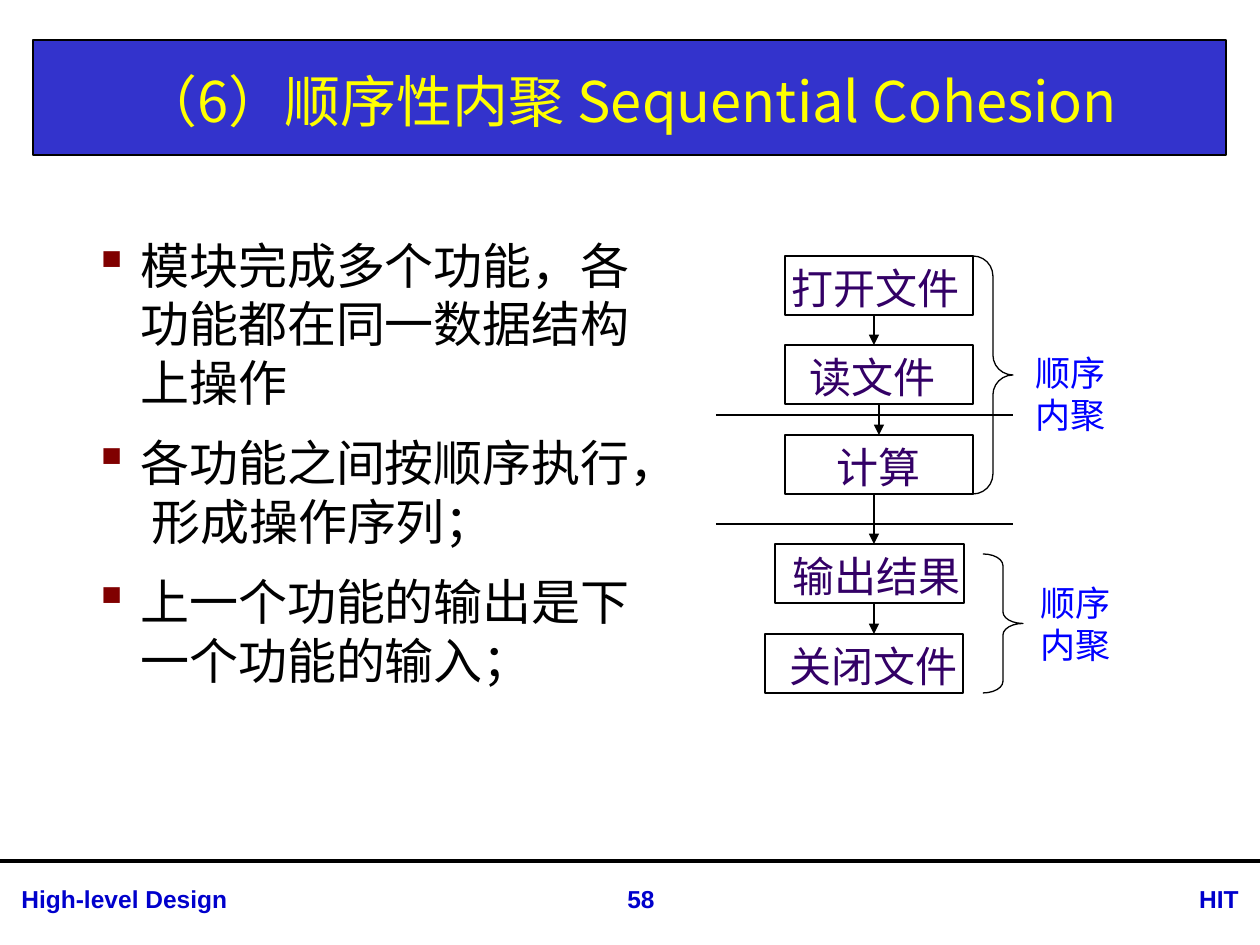
import dataclasses

import lxml.etree
import pptx
import pptx.dml.color
import pptx.enum.shapes
import pptx.enum.text
import pptx.oxml.ns
import pptx.util

SHAPE = pptx.enum.shapes.MSO_SHAPE
ALIGN = pptx.enum.text.PP_ALIGN
ANCHOR = pptx.enum.text.MSO_ANCHOR


@dataclasses.dataclass(frozen=True)
class Theme:
    """Colours, fonts and type sizes of the slide."""

    bar: str = "3333CC"
    title: str = "FFFF00"
    ink: str = "000000"
    bullet: str = "800000"
    step: str = "330066"
    note: str = "0000FF"
    footer: str = "0000CC"
    cjk: str = "Noto Sans CJK SC"
    latin: str = "Arial"
    title_size: int = 32
    body_size: int = 28
    step_size: int = 24
    note_size: int = 20
    footer_size: int = 14


THEME = Theme()


def px(length):
    """Turn pixels into EMU."""
    return pptx.util.Emu(round(length * 914400 / 126))


def rgb(colour):
    """Return a colour object for a hex string."""
    return pptx.dml.color.RGBColor.from_string(colour)


def add_xml(parent, tag, **attributes):
    """Append a DrawingML element to a parent."""
    return lxml.etree.SubElement(parent, pptx.oxml.ns.qn(tag), **attributes)


def add_outline(shapes, kind, box, fill=None):
    """Draw a thinly outlined preset shape."""
    shape = shapes.add_shape(kind, *map(px, box))
    shape.shadow.inherit = False
    if fill:
        shape.fill.solid()
        shape.fill.fore_color.rgb = rgb(fill)
    else:
        shape.fill.background()
    shape.line.color.rgb = rgb(THEME.ink)
    shape.line.width = pptx.util.Pt(0.75)
    return shape


def add_line(shapes, start, end, width=0.75, arrow=False):
    """Draw a straight line, with an arrowhead at its end if asked."""
    line = shapes.add_connector(
        pptx.enum.shapes.MSO_CONNECTOR.STRAIGHT, *map(px, (*start, *end)))
    line.line.color.rgb = rgb(THEME.ink)
    line.line.width = pptx.util.Pt(width)
    if arrow:
        add_xml(line.line._get_or_add_ln(), "a:tailEnd", type="triangle")
    add_xml(line._element.spPr, "a:effectLst")
    return line


def add_text(shapes, box, lines, size, colour, font=THEME.cjk, bold=False,
             align=ALIGN.LEFT, anchor=ANCHOR.TOP, bullet=None, gap=0):
    """Place a wrapped text box with one paragraph for each line."""
    frame = shapes.add_textbox(*map(px, box)).text_frame
    frame.word_wrap = True
    frame.vertical_anchor = anchor
    for index, line in enumerate(lines):
        paragraph = frame.add_paragraph() if index else frame.paragraphs[0]
        paragraph.text = line
        paragraph.alignment = align
        if gap:
            paragraph.space_after = pptx.util.Pt(gap)
            if index:
                paragraph.space_before = pptx.util.Pt(gap)
        if bullet:
            properties = paragraph._p.get_or_add_pPr()
            properties.set("marL", str(px(47)))
            properties.set("indent", str(px(-47)))
            add_xml(add_xml(properties, "a:buClr"), "a:srgbClr", val=THEME.bullet)
            add_xml(properties, "a:buChar", char=bullet)
        paragraph.font.size = pptx.util.Pt(size)
        paragraph.font.bold = bold
        paragraph.font.color.rgb = rgb(colour)
        paragraph.font.name = font
        add_xml(paragraph.font._element, "a:ea", typeface=font)


def add_title(slide, left, top, width, height):
    """Draw the title bar and its heading."""
    add_outline(slide.shapes, SHAPE.RECTANGLE, (left, top, width, height), THEME.bar)
    add_text(slide.shapes, (left, top + 5, width, height - 5),
             ["（6）顺序性内聚 Sequential Cohesion"], THEME.title_size, THEME.title,
             align=ALIGN.CENTER, anchor=ANCHOR.MIDDLE)


def add_points(slide, left, top, width, height):
    """Place the bulleted description."""
    points = ["模块完成多个功能，各功能都在同一数据结构上操作",
              "各功能之间按顺序执行， 形成操作序列；",
              "上一个功能的输出是下一个功能的输入；"]
    add_text(slide.shapes, (left, top, width, height), points,
             THEME.body_size, THEME.ink, bullet="▪", gap=6)


def add_flow(slide, left, top):
    """Draw the file-handling steps and the braces that group them."""
    shapes = slide.shapes.add_group_shape().shapes
    step_height = 59
    steps = [("打开文件", 120, 0, 188, 60, 302),
             ("读文件", 120, 89, 188, 31, 353),
             ("计算", 120, 179, 188, 70, 287),
             ("输出结果", 110, 288, 189, 31, 362),
             ("关闭文件", 100, 378, 198, 0, 418)]
    boxes = [add_outline(shapes, SHAPE.RECTANGLE,
                         (left + x, top + y, width, step_height))
             for _, x, y, width, _, _ in steps]
    for label, _, y, _, label_x, label_width in steps:
        add_text(shapes, (left + label_x, top + y, label_width, 63), [label],
                 THEME.step_size, THEME.step, align=ALIGN.CENTER)

    arrows = [(209, 0.75), (214, 0.75), (209, 1.5), (209, 1.5)]
    for index, (x, width) in enumerate(arrows):
        start = (left + x, top + steps[index][2] + step_height)
        end = (left + x, top + steps[index + 1][2])
        arrow = add_line(shapes, start, end, width, arrow=True)
        if x == steps[index][1] + steps[index][3] / 2:
            arrow.begin_connect(boxes[index], 2)
            arrow.end_connect(boxes[index + 1], 0)

    for y in (159, 268):
        add_line(shapes, (left + 51, top + y), (left + 348, top + y))

    braces = [(308, 0, 238, 0.5, 358, 89), (318, 298, 139, 0.29, 363, 319)]
    for x, y, height, curve, note_x, note_y in braces:
        brace = add_outline(shapes, SHAPE.RIGHT_BRACE, (left + x, top + y, 40, height))
        brace.adjustments[0] = curve
        brace.adjustments[1] = 0.5
        add_text(shapes, (left + note_x, top + note_y, 152, 97), ["顺序", "内聚"],
                 THEME.note_size, THEME.note)


def add_footer(slide, left, top, width):
    """Draw the footer rule with its three labels."""
    add_line(slide.shapes, (left, top), (left + width, top), 2.25)
    labels = [("High-level Design", 9, 485, ALIGN.LEFT),
              ("58", 576, 130, ALIGN.CENTER),
              ("HIT", 1121, 130, ALIGN.RIGHT)]
    for label, x, label_width, align in labels:
        add_text(slide.shapes, (left + x, top + 17, label_width, 43), [label],
                 THEME.footer_size, THEME.footer, THEME.latin, True, align)


def main():
    """Build and save the slide."""
    deck = pptx.Presentation()
    deck.slide_width, deck.slide_height = px(1260), px(945)
    slide = deck.slides.add_slide(deck.slide_layouts[6])
    add_title(slide, 33, 40, 1193, 115)
    add_footer(slide, 0, 861, 1260)
    add_points(slide, 81, 229, 605, 466)
    add_flow(slide, 665, 256)
    deck.save("out.pptx")


if __name__ == "__main__":
    main()
